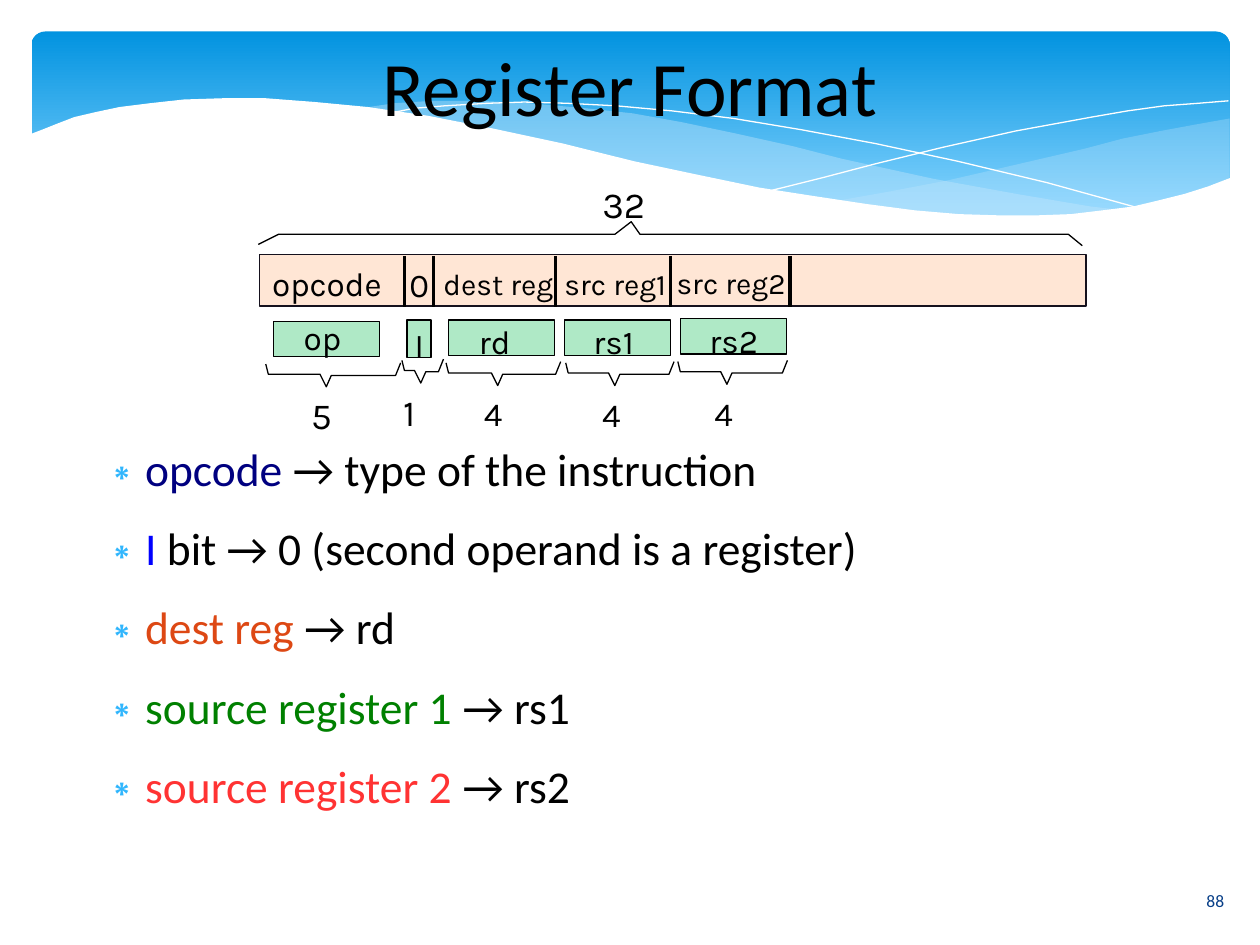
from pptx import Presentation
from pptx.dml.color import RGBColor
from pptx.enum import shapes, text
from pptx.oxml.ns import qn
from pptx.util import Inches, Pt
from lxml import etree

BLACK = RGBColor(0x00, 0x00, 0x00)
WHITE = RGBColor(0xFF, 0xFF, 0xFF)
SKY = RGBColor(0x02, 0x93, 0xE0)
PALE_SKY = RGBColor(0x83, 0xD3, 0xFE)
MIST = RGBColor(0xC6, 0xE7, 0xFC)
BULLET = RGBColor(0x31, 0xB6, 0xFD)
PAGE_BLUE = RGBColor(0x07, 0x3E, 0x87)
PEACH = RGBColor(0xFF, 0xE6, 0xD5)
WORD_LINE = RGBColor(0x15, 0x11, 0x1D)
MINT = RGBColor(0xAF, 0xE9, 0xC6)
NAVY = RGBColor(0x00, 0x00, 0x80)
BLUE = RGBColor(0x00, 0x00, 0xFF)
ORANGE = RGBColor(0xDD, 0x48, 0x14)
GREEN = RGBColor(0x00, 0x80, 0x00)
RED = RGBColor(0xFF, 0x33, 0x33)

# Header waves: points in inches
RIGHT_WAVE = [
    (9.76, 0.94), (9.48, 0.99), (9.21, 1.04), (8.91, 1.1), (8.61, 1.18), (8.05, 1.31),
    (7.53, 1.43), (7.06, 1.52), (6.61, 1.6), (6.91, 1.64), (7.19, 1.67), (7.45, 1.69),
    (7.69, 1.71), (7.92, 1.72), (8.35, 1.72), (8.63, 1.7), (8.89, 1.66), (9.13, 1.62),
    (9.35, 1.56), (9.63, 1.47), (9.76, 1.41)]
MIDDLE_WAVE = [
    (8.93, 1.67), (8.66, 1.64), (8.07, 1.54), (7.41, 1.42), (6.68, 1.26), (6.29, 1.16),
    (5.84, 1.06), (5.41, 0.97), (5.02, 0.9), (4.65, 0.86), (4.2, 0.82), (3.8, 0.8),
    (3.44, 0.8), (3.13, 0.82), (2.86, 0.86), (3.23, 0.9), (3.62, 0.97), (4.04, 1.06),
    (4.49, 1.16), (5.3, 1.35), (5.84, 1.46), (6.34, 1.56), (6.8, 1.63), (7.22, 1.68),
    (7.61, 1.71), (7.96, 1.73), (8.28, 1.73), (8.57, 1.71)]
FALLING_LINE = [
    (3.09, 0.9), (3.28, 0.86), (3.53, 0.84), (3.87, 0.82), (4.16, 0.81), (4.5, 0.82),
    (4.89, 0.84), (5.33, 0.88), (5.82, 0.94), (6.36, 1.03), (6.95, 1.14), (7.6, 1.28),
    (8.31, 1.45), (9.07, 1.66)]
RISING_LINE = [
    (6.13, 1.51), (6.53, 1.41), (6.95, 1.3), (7.48, 1.17), (8.06, 1.04), (8.66, 0.93),
    (8.95, 0.88), (9.24, 0.84), (9.51, 0.82), (9.75, 0.8)]
WHITE_WAVE = [
    (9.77, 1.41), (9.59, 1.48), (9.4, 1.54), (9.2, 1.59), (8.99, 1.64), (8.75, 1.67),
    (8.5, 1.7), (8.23, 1.71), (7.93, 1.71), (7.61, 1.7), (7.26, 1.67), (6.88, 1.62),
    (6.48, 1.56), (6.03, 1.49), (5.55, 1.39), (5.03, 1.28), (4.47, 1.14), (3.91, 1.02),
    (3.4, 0.92), (2.92, 0.85), (2.5, 0.81), (2.11, 0.78), (1.77, 0.78), (1.46, 0.79),
    (1.19, 0.82), (0.95, 0.85), (0.76, 0.89), (0.59, 0.93), (0.46, 0.98), (0.36, 1.02),
    (0.23, 1.07), (0.23, 2.24), (9.77, 2.24)]

# Instruction fields: text, left, top, width, size
FIELD_NAMES = [
    ("opcode", 2.16, 2.09, 0.99, 19), ("0", 3.25, 2.1, 0.26, 19),
    ("dest reg", 3.52, 2.11, 0.96, 17), ("src reg1", 4.48, 2.11, 0.96, 17),
    ("src reg2", 5.37, 2.1, 0.96, 17)]
OPERANDS = [
    ("op", 2.41, 2.52, 0.41, 19), ("I", 3.29, 2.57, 0.19, 19), ("rd", 3.8, 2.55, 0.35, 19),
    ("rs1", 4.71, 2.55, 0.48, 19), ("rs2", 5.63, 2.54, 0.48, 19)]
BIT_WIDTHS = [
    ("32", 4.78, 1.44, 0.45, 21), ("5", 2.47, 3.12, 0.29, 21), ("1", 3.2, 3.09, 0.29, 21),
    ("4", 3.84, 3.12, 0.28, 19), ("4", 4.78, 3.13, 0.26, 19), ("4", 5.67, 3.12, 0.26, 19)]
OPERAND_BOXES = [
    (2.17, 2.55, 0.84, 0.28), (3.23, 2.54, 0.19, 0.3), (3.56, 2.54, 0.84, 0.28),
    (4.48, 2.54, 0.84, 0.28), (5.4, 2.53, 0.84, 0.28)]
DIVIDERS = [3.21, 3.44, 4.41, 5.32, 6.27]
# Lower braces: left, tip, right, top
BRACES = [
    (2.11, 2.59, 3.18, 2.89), (3.19, 3.34, 3.52, 2.86), (3.54, 3.95, 4.45, 2.88),
    (4.49, 4.88, 5.35, 2.88), (5.38, 5.77, 6.25, 2.87)]
WORD_BRACE = [
    (2.05, 1.94), (2.21, 1.86), (4.88, 1.86), (5.01, 1.76), (5.08, 1.86), (8.48, 1.86),
    (8.59, 1.95)]

BULLETS = [
    ("opcode", NAVY, " → type of the instruction"),
    ("I", BLUE, " bit → 0 (second operand is a register)"),
    ("dest reg", ORANGE, " → rd"),
    ("source register 1", GREEN, " → rs1"),
    ("source register 2", RED, " → rs2")]


def place(sp, left, top, width, height):
    sp.left, sp.top = Inches(left), Inches(top)
    sp.width, sp.height = Inches(width), Inches(height)


def set_font(r, size, color, name="Calibri"):
    r.font.size, r.font.name = Pt(size), name
    r.font.color.rgb = color


def no_insets(tf):
    tf.margin_left = tf.margin_right = tf.margin_top = tf.margin_bottom = 0


def hairline(line, color):
    line.color.rgb = color
    line.width = Pt(0)


def outline(s, points, fill=None, line=None, opacity=100):
    """Filled outline when a fill is given, otherwise an open line."""
    pts = [(Inches(x), Inches(y)) for x, y in points]
    fb = s.shapes.build_freeform(*pts[0])
    fb.add_line_segments(pts[1:], close=fill is not None)
    sp = fb.convert_to_shape()
    sp.shadow.inherit = False
    if fill is None:
        sp.fill.background()
        hairline(sp.line, line)
        return
    sp.fill.solid()
    sp.fill.fore_color.rgb = fill
    sp.line.fill.background()
    if opacity < 100:
        clr = next(sp.element.spPr.iter(qn("a:srgbClr")))
        etree.SubElement(clr, qn("a:alpha"), val=str(opacity * 1000))


def box(s, at, fill, line):
    sp = s.shapes.add_shape(shapes.MSO_SHAPE.RECTANGLE, *map(Inches, at))
    sp.shadow.inherit = False
    sp.fill.solid()
    sp.fill.fore_color.rgb = fill
    hairline(sp.line, line)


def label(s, words, left, top, width, size):
    height = round(size * 0.0185, 2)
    tf = s.shapes.add_textbox(*map(Inches, (left, top, width, height))).text_frame
    no_insets(tf)
    tf.word_wrap = False
    tf.auto_size = text.MSO_AUTO_SIZE.SHAPE_TO_FIT_TEXT
    tf.text = words
    set_font(tf.paragraphs[0].runs[0], size, BLACK, "Karla")


def divider(s, x):
    cn = s.shapes.add_connector(shapes.MSO_CONNECTOR.STRAIGHT, Inches(x), Inches(2.03),
                                Inches(x), Inches(2.44))
    hairline(cn.line, BLACK)
    etree.SubElement(cn.element.spPr, qn("a:effectLst"))


def lower_brace(s, left, tip, right, top):
    outline(s, [(left, top), (left + 0.02, top + 0.08), (tip - 0.05, top + 0.08),
                (tip, top + 0.18), (tip + 0.04, top + 0.09), (right - 0.04, top + 0.09),
                (right, top - 0.01)], line=BLACK)


def header(s):
    sp = s.shapes.add_shape(shapes.MSO_SHAPE.ROUNDED_RECTANGLE,
                            *map(Inches, (0.25, 0.25, 9.51, 1.56)))
    sp.shadow.inherit = False
    sp.adjustments[0] = 0.07
    sp.line.fill.background()
    sp.fill.gradient()
    sp.fill.gradient_angle = 270
    for stop, color, pos in zip(sp.fill.gradient_stops, (SKY, PALE_SKY), (0, 0.9)):
        stop.color.rgb, stop.position = color, pos
    outline(s, RIGHT_WAVE, MIST, opacity=29)
    outline(s, MIDDLE_WAVE, MIST, opacity=40)
    outline(s, FALLING_LINE, line=WHITE)
    outline(s, RISING_LINE, line=WHITE)
    outline(s, WHITE_WAVE, WHITE)


def title(s):
    sp = s.shapes.title
    place(sp, 0.25, 0.17, 9.5, 1.02)
    tf = sp.text_frame
    no_insets(tf)
    tf.vertical_anchor = text.MSO_ANCHOR.MIDDLE
    tf.text = "Register Format"
    tf.paragraphs[0].alignment = text.PP_ALIGN.CENTER
    set_font(tf.paragraphs[0].runs[0], 44, BLACK)
    s.shapes.element.append(sp.element)  # in front of the header


def bullet_list(s):
    sp = s.placeholders[1]
    place(sp, 0.67, 3.5, 9.42, 2.92)
    tf = sp.text_frame
    no_insets(tf)
    tf.auto_size = text.MSO_AUTO_SIZE.NONE
    for i, (term, color, meaning) in enumerate(BULLETS):
        p = tf.paragraphs[0] if i == 0 else tf.add_paragraph()
        p.space_before, p.space_after = Pt(0), Pt(14.1)
        pPr = p._p.get_or_add_pPr()
        pPr.set("marL", str(Inches(0.47)))
        pPr.set("indent", str(Inches(-0.35)))
        bu = etree.SubElement(pPr, qn("a:buClr"))
        etree.SubElement(bu, qn("a:srgbClr"), val=str(BULLET))
        etree.SubElement(pPr, qn("a:buChar"), char="∗")
        for words, c in ((term, color), (meaning, BLACK)):
            r = p.add_run()
            r.text = words
            set_font(r, 26, c)
    s.shapes.element.append(sp.element)


def page_number(s):
    tf = s.shapes.add_textbox(*map(Inches, (9.34, 6.95, 0.61, 0.4))).text_frame
    tf.word_wrap = True
    tf.vertical_anchor = text.MSO_ANCHOR.MIDDLE
    tf.text = "88"
    tf.paragraphs[0].alignment = text.PP_ALIGN.CENTER
    set_font(tf.paragraphs[0].runs[0], 10, PAGE_BLUE)


def register_diagram(s):
    box(s, (2.06, 2.02, 6.56, 0.41), PEACH, WORD_LINE)
    outline(s, WORD_BRACE, line=BLACK)
    for x in DIVIDERS:
        divider(s, x)
    for at in OPERAND_BOXES:
        box(s, at, MINT, BLACK)
    for brace in BRACES:
        lower_brace(s, *brace)
    for item in FIELD_NAMES + OPERANDS + BIT_WIDTHS:
        label(s, *item)


def main():
    prs = Presentation()
    prs.slide_width, prs.slide_height = Inches(10), Inches(7.5)
    s = prs.slides.add_slide(prs.slide_layouts[1])
    header(s)
    page_number(s)
    title(s)
    bullet_list(s)
    register_diagram(s)
    prs.save("out.pptx")


if __name__ == "__main__":
    main()
